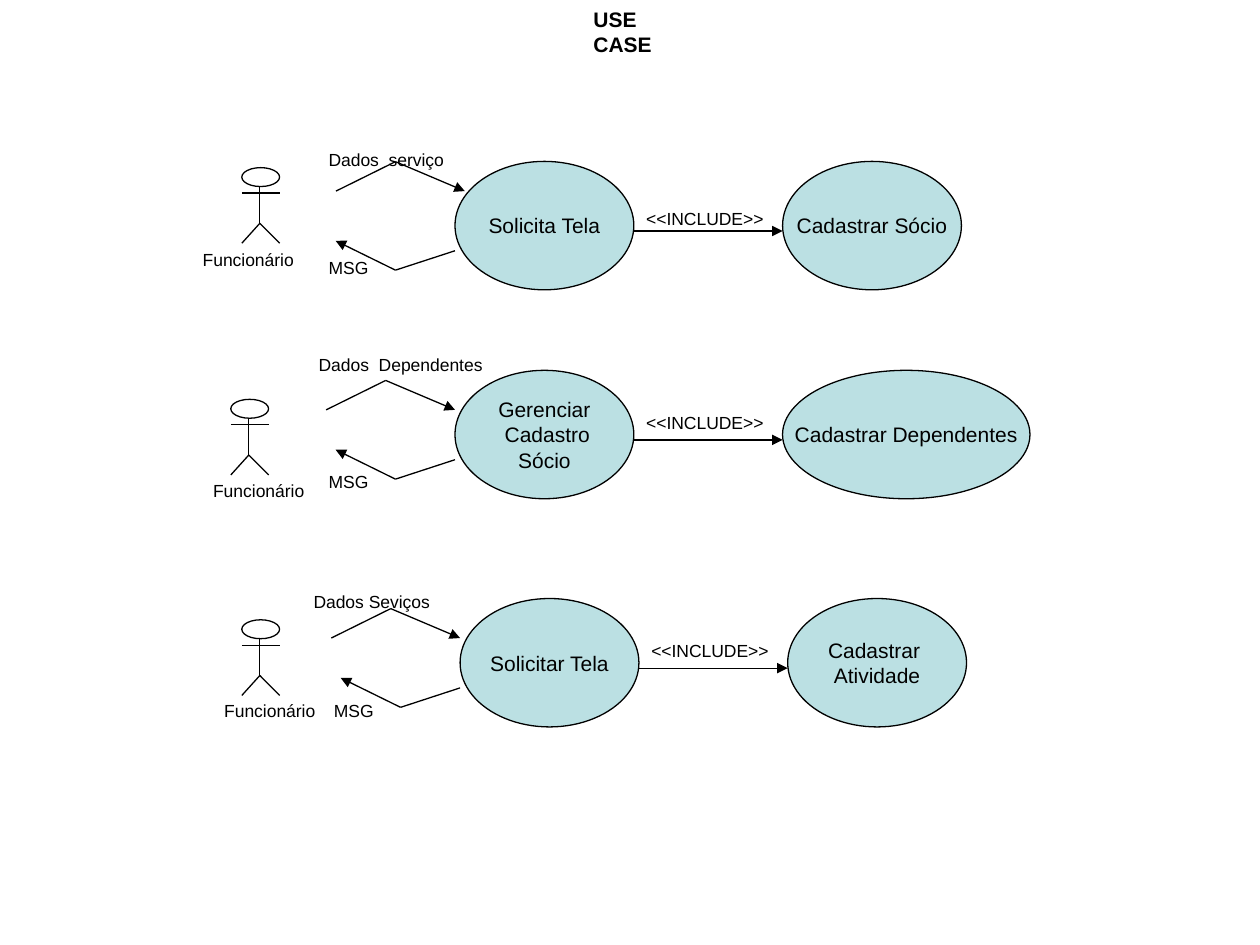
from dataclasses import dataclass

from lxml.etree import SubElement
from pptx import Presentation
from pptx.dml.color import RGBColor
from pptx.enum.shapes import MSO_CONNECTOR, MSO_SHAPE
from pptx.enum.text import MSO_ANCHOR, PP_ALIGN
from pptx.oxml.ns import qn
from pptx.util import Pt

BLACK = RGBColor(0x00, 0x00, 0x00)
WHITE = RGBColor(0xFF, 0xFF, 0xFF)
TEAL = RGBColor(0xBB, 0xE0, 0xE3)

FONT = "Arial"
LINE = 0.75
CASE_W, CASE_H = 102.2, 73.4  # use case ellipse
STEP = 187.2                  # from one use case to the next
LABEL_H = 19.4

Point = tuple[float, float]


@dataclass
class Flow:
    """One row: an actor, the use case it calls and the included one."""
    left: float
    top: float
    case: str
    goal: str
    data: str
    data_at: Point
    actor_at: Point
    name_at: Point
    msg_y: float
    data_w: float = 113
    goal_w: float = CASE_W
    tag_y: float = 20.2
    shift: float = 0  # moves the request arrow right and up


FLOWS = [
    Flow(260, 92.2, "Solicita Tela", "Cadastrar Sócio", "Dados  serviço",
         (180.7, 81.4), (138.2, 95.8), (108.7, 139), 51.1,
         data_w=96.5, tag_y=23, shift=5.6),
    Flow(260, 211.6, "Gerenciar\n Cadastro\nSócio", "Cadastrar Dependentes",
         "Dados  Dependentes", (175, 198.7), (131.9, 228.2), (114.7, 270.7),
         54, goal_w=141.4),
    Flow(262.9, 342, "Solicitar Tela", "Cadastrar \nAtividade",
         "Dados Seviços", (172.1, 334.1), (138.2, 354.2), (121, 396.7), 54.7),
]


def write(shape, text: str, size: float = 10, bold: bool = False,
          align=PP_ALIGN.LEFT, anchor=MSO_ANCHOR.TOP, wrap: bool = False,
          before: float = 0) -> None:
    """Fill a shape with text, one paragraph a line."""
    frame = shape.text_frame
    frame.word_wrap = wrap
    frame.vertical_anchor = anchor
    frame.margin_left = frame.margin_right = Pt(7.2)
    frame.margin_top = frame.margin_bottom = Pt(3.6)
    frame.text = text
    for para in frame.paragraphs:
        para.alignment = align
        para.space_before = Pt(before)
        font = para.runs[0].font
        font.name, font.size, font.bold = FONT, Pt(size), bold
        font.color.rgb = BLACK


def label(slide, text: str, x: float, y: float, w: float, **style) -> None:
    box = slide.shapes.add_textbox(Pt(x), Pt(y), Pt(w), Pt(LABEL_H))
    write(box, text, **style)


def oval(shapes, x: float, y: float, w: float, h: float, fill: RGBColor):
    shape = shapes.add_shape(MSO_SHAPE.OVAL, Pt(x), Pt(y), Pt(w), Pt(h))
    shape.shadow.inherit = False
    shape.fill.solid()
    shape.fill.fore_color.rgb = fill
    shape.line.color.rgb = BLACK
    shape.line.width = Pt(LINE)
    return shape


def case(slide, text: str, x: float, y: float, w: float = CASE_W) -> None:
    shape = oval(slide.shapes, x, y, w, CASE_H, TEAL)
    write(shape, text, size=12, align=PP_ALIGN.CENTER,
          anchor=MSO_ANCHOR.MIDDLE)


def stroke(shapes, x: float, y: float, points: list[Point],
           arrow: bool = False) -> None:
    """Join points, given from (x, y), with lines; arrow at the last."""
    for i, ((ax, ay), (bx, by)) in enumerate(zip(points, points[1:]), 2):
        line = shapes.add_connector(MSO_CONNECTOR.STRAIGHT, Pt(x + ax),
                                    Pt(y + ay), Pt(x + bx), Pt(y + by))
        line.line.color.rgb = BLACK
        line.line.width = Pt(LINE)
        if arrow and i == len(points):
            SubElement(line.get_or_add_ln(), qn("a:tailEnd"), type="triangle")
        SubElement(line._element.spPr, qn("a:effectLst"))


def actor(slide, x: float, y: float) -> None:
    parts = slide.shapes.add_group_shape().shapes
    oval(parts, x, y, 21.6, 10.8, WHITE)
    stroke(parts, x, y, [(10.3, 10.8), (10.3, 32)])
    stroke(parts, x, y, [(0, 14.5), (21.6, 14.5)])
    stroke(parts, x, y, [(0, 43.2), (10.3, 31.8), (21.6, 43.2)])


def draw(slide, flow: Flow) -> None:
    x, y, move = flow.left, flow.top, flow.shift
    edge = x + CASE_W

    # Use cases and the include arrow
    case(slide, flow.case, x, y)
    case(slide, flow.goal, x + STEP, y, flow.goal_w)
    stroke(slide.shapes, x, y, [(CASE_W, 39.8), (STEP, 39.8)], arrow=True)
    label(slide, "<<INCLUDE>>", edge, y + flow.tag_y, 96.5,
          wrap=True, before=6.2)

    # Request and reply
    stroke(slide.shapes, x + move, y - move,
           [(-73.6, 22.6), (-39.6, 5.8), (0, 22.6)], arrow=True)
    stroke(slide.shapes, x, y,
           [(0, 51.1), (-34, 62.2), (-68.2, 45.4)], arrow=True)
    label(slide, flow.data, *flow.data_at, flow.data_w, wrap=True, before=6.2)
    label(slide, "MSG", x - 79.2, y + flow.msg_y, 96.5, wrap=True, before=6.2)

    # Actor
    actor(slide, *flow.actor_at)
    label(slide, "Funcionário", *flow.name_at, 66.2)


def main() -> None:
    deck = Presentation()
    deck.slide_width, deck.slide_height = Pt(720), Pt(540)
    slide = deck.slides.add_slide(deck.slide_layouts[5])

    # Title
    title = slide.shapes.title
    title.left, title.top = Pt(331.9), Pt(0)
    title.width, title.height = Pt(75.6), Pt(21.6)
    write(title, "USE CASE", size=12, bold=True)

    for flow in FLOWS:
        draw(slide, flow)
    deck.save("out.pptx")


if __name__ == "__main__":
    main()
